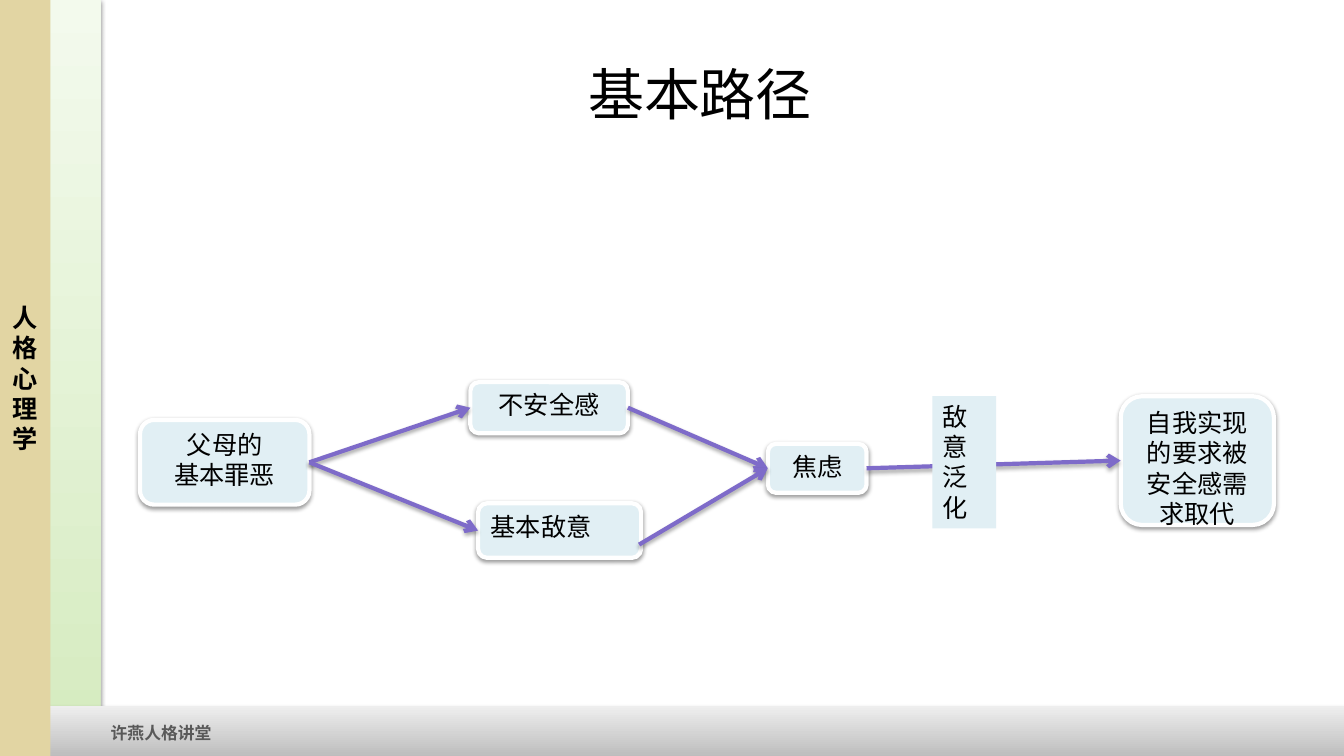
from dataclasses import dataclass

from lxml.etree import SubElement
from pptx import Presentation
from pptx.dml.color import RGBColor
from pptx.enum.shapes import MSO_CONNECTOR as Connector, MSO_SHAPE as Shape
from pptx.enum.text import MSO_ANCHOR as Anchor, PP_ALIGN as Align
from pptx.oxml.ns import qn
from pptx.util import Pt


@dataclass(frozen=True)
class Theme:
    text: str = "000000"
    footer_text: str = "595959"
    sidebar: str = "E2D5A3"
    green: tuple = ("D5EBBF", "F3FAED")
    grey: tuple = ("BDBDBD", "EEEEEE")
    box: str = "E1EFF4"
    border: str = "FFFFFF"
    arrow: str = "7E6BC9"
    line_width: float = 3
    title_size: int = 40
    body_size: int = 18
    footer_size: int = 12
    font: str = "Lato"
    chinese_font: str = "Noto Sans CJK SC"


LEFT_SITE, RIGHT_SITE = 1, 3


class SlideBuilder:
    def __init__(self, slide, theme):
        self.slide = slide
        self.theme = theme

    def add_shadow(self, effects, opacity, distance):
        shadow = SubElement(effects, qn("a:outerShdw"), blurRad=str(Pt(3.1)),
                            dist=str(Pt(distance)), dir="5400000", rotWithShape="0")
        color = SubElement(shadow, qn("a:srgbClr"), val="000000")
        SubElement(color, qn("a:alpha"), val=str(opacity * 1000))

    def set_text(self, shape, lines, size, align=Align.CENTER, anchor=Anchor.TOP,
                 color=None, font=None, bold=False, wrap=True):
        frame = shape.text_frame
        frame.word_wrap = wrap
        frame.vertical_anchor = anchor
        frame.text = lines
        for paragraph in frame.paragraphs:
            paragraph.alignment = align
            paragraph.font.name = font or self.theme.font
            paragraph.font.size = Pt(size)
            paragraph.font.bold = bold
            paragraph.font.color.rgb = RGBColor.from_string(color or self.theme.text)
            defaults = paragraph._p.pPr.find(qn("a:defRPr"))
            SubElement(defaults, qn("a:ea"), typeface=self.theme.chinese_font)

    def panel(self, bounds, fill, kind=Shape.RECTANGLE, shadow=False):
        shape = self.slide.shapes.add_shape(kind, *map(Pt, bounds))
        if isinstance(fill, str):
            shape.fill.solid()
            shape.fill.fore_color.rgb = RGBColor.from_string(fill)
        else:
            shape.fill.gradient()
            shape.fill.gradient_angle = 90
            for stop, color in zip(shape.fill.gradient_stops, fill):
                stop.color.rgb = RGBColor.from_string(color)
        shape.line.fill.background()
        shape.shadow.inherit = False
        if shadow:
            self.add_shadow(shape._element.spPr.find(qn("a:effectLst")), 38, 1.6)
        return shape

    def step(self, bounds, lines, align=Align.CENTER):
        shape = self.panel(bounds, self.theme.box, Shape.ROUNDED_RECTANGLE, shadow=True)
        shape.line.color.rgb = RGBColor.from_string(self.theme.border)
        shape.line.width = Pt(self.theme.line_width)
        self.set_text(shape, lines, self.theme.body_size, align)
        return shape

    def label(self, bounds, lines, size, **style):
        shape = self.slide.shapes.add_textbox(*map(Pt, bounds))
        self.set_text(shape, lines, size, **style)

    def arrow(self, source, target, start=None):
        begin = tuple(map(Pt, start or (0, 0)))
        connector = self.slide.shapes.add_connector(Connector.STRAIGHT, *begin, *begin)
        if start is None:
            connector.begin_connect(source, RIGHT_SITE)
        connector.end_connect(target, LEFT_SITE)
        connector.line.color.rgb = RGBColor.from_string(self.theme.arrow)
        connector.line.width = Pt(self.theme.line_width)
        properties = connector._element.spPr
        SubElement(properties.find(qn("a:ln")), qn("a:tailEnd"), type="arrow")
        self.add_shadow(SubElement(properties, qn("a:effectLst")), 35, 1.8)


def main():
    presentation = Presentation()
    presentation.slide_width, presentation.slide_height = Pt(960), Pt(540)
    slide = presentation.slides.add_slide(presentation.slide_layouts[6])
    theme = Theme()
    builder = SlideBuilder(slide, theme)

    # Frame: green band, footer and sidebar
    builder.panel((36, 0, 36, 540), theme.green, shadow=True)
    builder.panel((0, 504.5, 960, 36), theme.grey, shadow=True)
    sidebar = builder.panel((0, 0, 36, 540), theme.sidebar)
    builder.set_text(sidebar, "人格心理学", theme.body_size, anchor=Anchor.MIDDLE,
                     font=theme.chinese_font, bold=True)
    builder.label((72, 512.5, 87, 21.5), "许燕人格讲堂", theme.footer_size,
                  align=Align.LEFT, color=theme.footer_text,
                  font=theme.chinese_font, bold=True, wrap=False)

    # Title
    builder.label((88.5, 21.5, 823, 90), "基本路径", theme.title_size,
                  anchor=Anchor.MIDDLE)

    # Steps of the path
    parents = builder.step((100, 300, 121, 60.5), "父母的\n基本罪恶")
    insecurity = builder.step((336, 273, 112.5, 36.5), "不安全感")
    hostility = builder.step((341.5, 359.5, 116.5, 39), "基本敌意", Align.LEFT)
    anxiety = builder.step((548.5, 317, 70.5, 35), "焦虑")
    replacement = builder.step((800.5, 283, 109.5, 92), "自我实现的要求被安全感需求取代")

    # Arrows between the steps
    builder.arrow(parents, insecurity)
    builder.arrow(parents, hostility)
    builder.arrow(insecurity, anxiety)
    builder.arrow(hostility, anxiety, start=(456.5, 389))
    builder.arrow(anxiety, replacement)

    # Generalised hostility, on top of the last arrow
    generalisation = builder.panel((666, 283, 45.5, 94.5), theme.box)
    builder.set_text(generalisation, "敌意泛化", theme.body_size, Align.LEFT)

    presentation.save("out.pptx")


if __name__ == "__main__":
    main()
